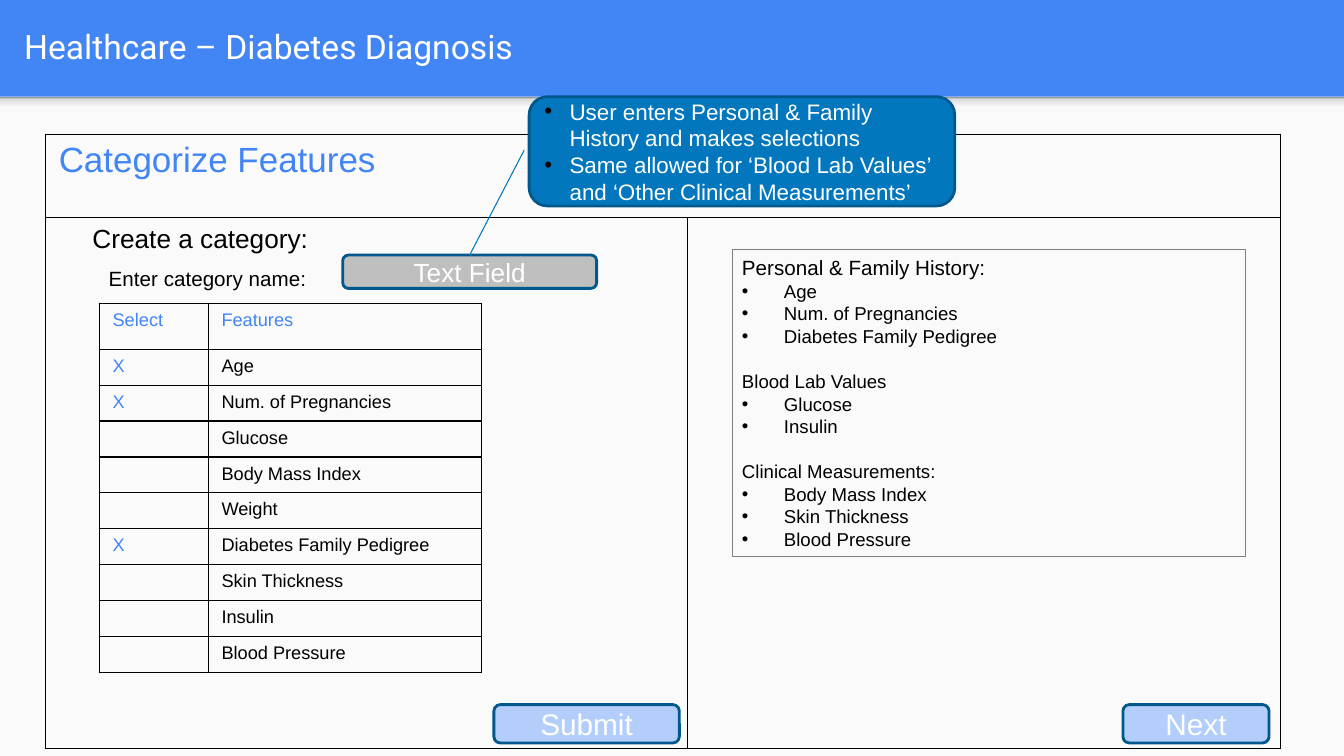
import pptx
import pptx.util
import pptx.dml.color
import pptx.enum.shapes
import pptx.enum.text
import pptx.oxml
import pptx.oxml.ns
from lxml import etree

Pt = pptx.util.Pt
KIND = pptx.enum.shapes.MSO_SHAPE
ANCHOR = pptx.enum.text.MSO_ANCHOR
ALIGN = pptx.enum.text.PP_ALIGN
qn = pptx.oxml.ns.qn

BLUE, WHITE, BLACK, EDGE, PALE = "4285F4", "FFFFFF", "000000", "01588C", "B3CEFB"

TITLE = "Healthcare – Diabetes Diagnosis"
ROWS = [
    ("Select", "Features"),
    ("X", "Age"),
    ("X", "Num. of Pregnancies"),
    ("", "Glucose"),
    ("", "Body Mass Index"),
    ("", "Weight"),
    ("X", "Diabetes Family Pedigree"),
    ("", "Skin Thickness"),
    ("", "Insulin"),
    ("", "Blood Pressure"),
]
GROUPS = {
    "Personal & Family History:": ["Age", "Num. of Pregnancies", "Diabetes Family Pedigree"],
    "Blood Lab Values": ["Glucose", "Insulin"],
    "Clinical Measurements:": ["Body Mass Index", "Skin Thickness", "Blood Pressure"],
}
TIPS = [
    "User enters Personal & Family History and makes selections",
    "Same allowed for ‘Blood Lab Values’ and ‘Other Clinical Measurements’",
]
LABELS = [
    ("Create a category:", (59, 154.8, 302.4, 30.2), 18.7),
    ("Enter category name:", (70.6, 186.5, 162.7, 25.2), 14.7),
]
BUTTONS = [
    ("Submit", (352.8, 503.3, 132.5, 27.4), PALE, 21.3),
    ("Next", (802.1, 503.3, 104.4, 27.4), PALE, 21.3),
    ("Text Field", (244.8, 182.2, 181.4, 23.8), "BFBFBF", 18.7),
]


def rgb(code):
    """Turn a hex string into a colour."""
    return pptx.dml.color.RGBColor.from_string(code)


def span(box):
    """Turn point values into lengths."""
    return [Pt(v) for v in box]


def write(frame, text, size=13, color=BLACK, font="Arial", align=ALIGN.LEFT,
          line=None, before=0, indent=0):
    """Write one paragraph, bulleted when it has an indent."""
    para = frame.paragraphs[0]
    if para.runs:
        para = frame.add_paragraph()
    para.alignment = align
    para.space_before = Pt(before)
    if line:
        para.line_spacing = Pt(line)
    if indent:
        props = para._p.get_or_add_pPr()
        props.set("marL", str(Pt(indent)))
        props.set("indent", str(-Pt(indent)))
        tint = etree.SubElement(props, qn("a:buClr"))
        etree.SubElement(tint, qn("a:srgbClr"), val=BLACK)
        etree.SubElement(props, qn("a:buFont"), typeface="Arial")
        etree.SubElement(props, qn("a:buChar"), char="•")
    if not text:
        etree.SubElement(para._p, qn("a:endParaRPr"), sz=str(size * 100))
        return
    run = para.add_run()
    run.text = text
    run.font.size = Pt(size)
    run.font.name = font
    run.font.color.rgb = rgb(color)


def shape(slide, kind, box, fill=None, edge=None, width=2):
    """Add a flat shape and return it."""
    item = slide.shapes.add_shape(kind, *span(box))
    item.shadow.inherit = False
    if fill:
        item.fill.solid()
        item.fill.fore_color.rgb = rgb(fill)
    else:
        item.fill.background()
    if edge:
        item.line.color.rgb = rgb(edge)
        item.line.width = Pt(width)
    else:
        item.line.fill.background()
    item.text_frame.word_wrap = True
    return item


def fade(item, stops):
    """Fill a shape with a gradient that runs upward."""
    item.fill.gradient()
    item.fill.gradient_angle = 90
    holder = item._element.spPr.find(".//" + qn("a:gsLst"))
    for old in list(holder):
        holder.remove(old)
    for place, code in stops:
        stop = etree.SubElement(holder, qn("a:gs"), pos=str(place * 1000))
        etree.SubElement(stop, qn("a:srgbClr"), val=code)


def border(cell):
    """Draw thin black lines round a cell and clear its fill."""
    cell.fill.background()
    props = cell._tc.get_or_add_tcPr()
    for spot, side in enumerate(("lnL", "lnR", "lnT", "lnB")):
        line = etree.Element(qn("a:" + side), w=str(Pt(1)))
        solid = etree.SubElement(line, qn("a:solidFill"))
        etree.SubElement(solid, qn("a:srgbClr"), val=BLACK)
        props.insert(spot, line)


def grid(slide, spot, cols, rows):
    """Add a plain ruled table and return it."""
    box = (*spot, sum(cols), sum(rows))
    table = slide.shapes.add_table(len(rows), len(cols), *span(box)).table
    table.first_row = table.horz_banding = False
    for col, width in zip(table.columns, cols):
        col.width = Pt(width)
    for row, height in zip(table.rows, rows):
        row.height = Pt(height)
    for cell in table.iter_cells():
        cell.margin_left = cell.margin_right = Pt(9.6)
        cell.margin_top = cell.margin_bottom = Pt(4.8)
        border(cell)
    return table


def header(slide):
    """Set the title, the band behind it and its soft edge."""
    slide.background.fill.solid()
    slide.background.fill.fore_color.rgb = rgb(BLUE)
    title = slide.shapes.title
    title.left, title.top, title.width, title.height = span((10.1, 1.4, 926.6, 63.4))
    frame = title.text_frame
    frame.auto_size = pptx.enum.text.MSO_AUTO_SIZE.NONE
    frame.vertical_anchor = ANCHOR.MIDDLE
    frame.margin_left = frame.margin_right = Pt(7.2)
    frame.margin_top = frame.margin_bottom = Pt(7.2)
    write(frame, TITLE, size=24, color=WHITE, font="Roboto")
    shape(slide, KIND.RECTANGLE, (0, 69, 960, 471), "FAFAFA")
    edge = shape(slide, KIND.RECTANGLE, (0, 69, 960, 11.5))
    fade(edge, [(0, "F9F9F9"), (36, "F9F9F9"), (80, "DEDEDE"), (100, "999999")])


def form(slide):
    """Build the page frame, labels, buttons and feature table."""
    page = grid(slide, (32.4, 95.8), (458.9, 423.2), (59.3, 379.4))
    page.cell(0, 0).merge(page.cell(0, 1))
    write(page.cell(0, 0).text_frame, "Categorize Features", size=25, color=BLUE)
    for text, box, size in LABELS:
        frame = slide.shapes.add_textbox(*span(box)).text_frame
        frame.word_wrap = True
        write(frame, text, size=size, line=size * 1.21)
    for text, box, fill, size in BUTTONS:
        frame = shape(slide, KIND.ROUNDED_RECTANGLE, box, fill, EDGE).text_frame
        frame.vertical_anchor = ANCHOR.MIDDLE
        write(frame, text, size=size, color=WHITE, align=ALIGN.CENTER)
    heights = [33] + [25.65] * (len(ROWS) - 1)
    table = grid(slide, (70.9, 216.5), (77.8, 195.1), heights)
    for r, row in enumerate(ROWS):
        for c, text in enumerate(row):
            color = BLUE if r == 0 or c == 0 else BLACK
            write(table.cell(r, c).text_frame, text, color=color)


def notes(slide):
    """Build the category list and the callout with its line."""
    box = shape(slide, KIND.RECTANGLE, (522.9, 178.4, 366.6, 219), None, "808080", 0.75)
    frame = box.text_frame
    frame.vertical_anchor = ANCHOR.TOP
    for spot, (name, items) in enumerate(GROUPS.items()):
        size = 13.3 if spot else 14.7
        write(frame, name, size=size, line=size * 1.21, before=16.1 if spot else 0)
        for item in items:
            write(frame, item, size=13.3, line=16.1, indent=30)
    tip = shape(slide, KIND.ROUNDED_RECTANGLE, (378, 69.1, 304, 78), "0277BD", EDGE)
    tip.text_frame.vertical_anchor = ANCHOR.MIDDLE
    for text in TIPS:
        write(tip.text_frame, text, size=16, color=WHITE, line=19, indent=18)
    line = slide.shapes.add_connector(
        pptx.enum.shapes.MSO_CONNECTOR.STRAIGHT, *span((374.4, 107.3, 335.5, 182.2)))
    line.line.color.rgb = rgb("0075BB")
    line.line.width = Pt(0.75)
    etree.SubElement(line._element.spPr, qn("a:effectLst"))


deck = pptx.Presentation()
deck.slide_width, deck.slide_height = Pt(960), Pt(540)
slide = deck.slides.add_slide(deck.slide_layouts[5])
header(slide)
form(slide)
notes(slide)
deck.save("out.pptx")
